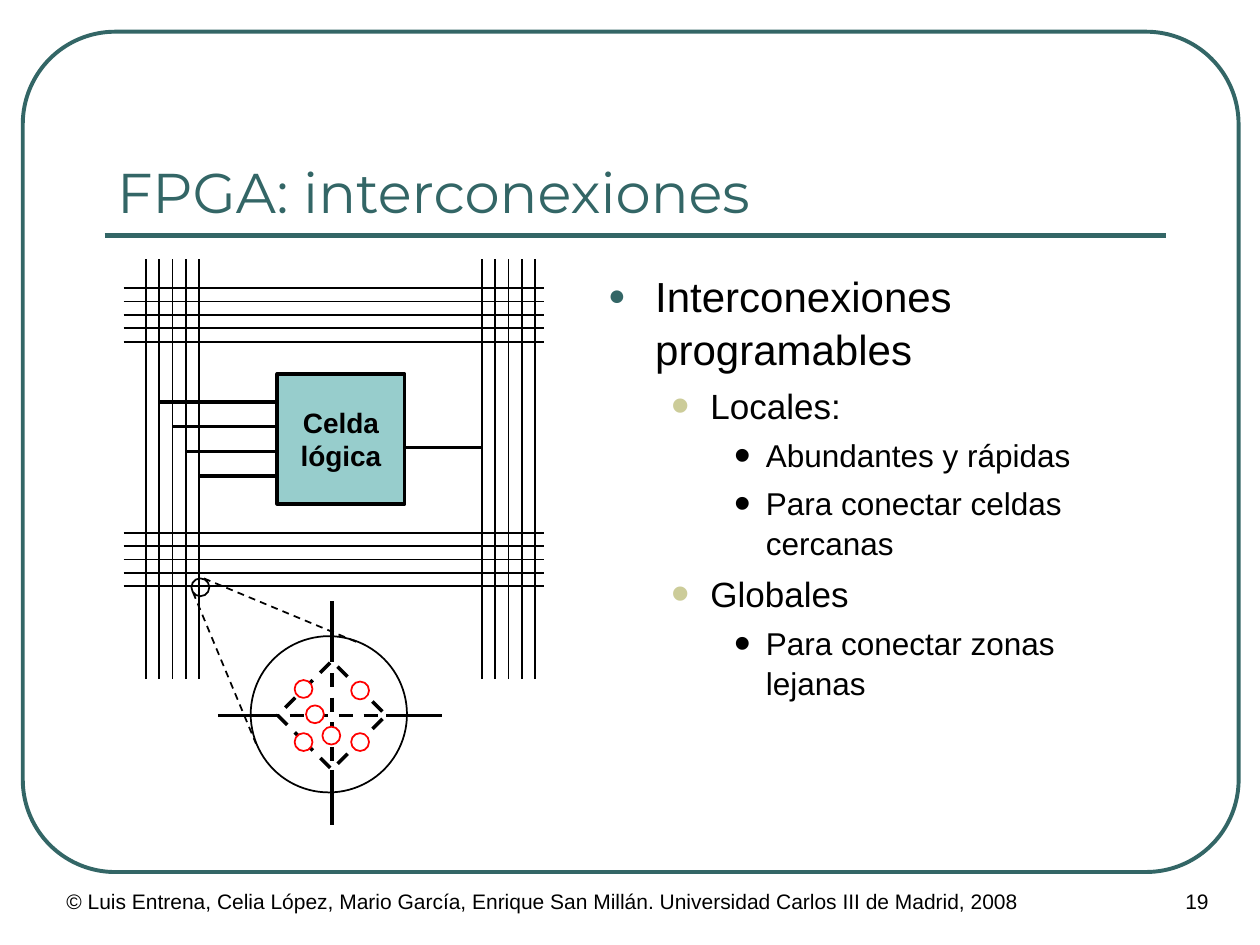
from dataclasses import dataclass
from typing import Optional

from lxml import etree
from pptx import Presentation
from pptx.dml.color import RGBColor
from pptx.enum import dml, shapes, text
from pptx.oxml import ns
from pptx.util import Cm, Pt

TEAL = RGBColor(0x33, 0x66, 0x66)
AQUA = RGBColor(0x97, 0xCD, 0xCC)
OLIVE = RGBColor(0xCC, 0xCC, 0x99)
BLACK = RGBColor(0, 0, 0)
WHITE = RGBColor(0xFF, 0xFF, 0xFF)
RED = RGBColor(0xFF, 0, 0)

WIRES_PER_BUS = 5
WIRE_GAP = 0.27
BUS_LEFT, BUS_RIGHT = 2.94, 9.71
BUS_TOP, BUS_BOTTOM = 5.81, 10.74
CELL_LEFT, CELL_TOP, CELL_WIDTH, CELL_HEIGHT = 5.59, 7.54, 2.57, 2.62
SWITCH_X, SWITCH_Y = 6.69, 14.42
DOT = 0.36


@dataclass(frozen=True)
class Stroke:
    color: RGBColor = BLACK
    width: float = 1
    dashed: bool = False


@dataclass(frozen=True)
class Level:
    size: float
    margin: float
    hanging: float
    before: float
    bullet: str
    bullet_color: RGBColor
    bullet_percent: int


THIN = Stroke()
THICK = Stroke(width=2)
THIN_DASH = Stroke(dashed=True)
THICK_DASH = Stroke(width=2, dashed=True)

TOPIC = Level(24, 0.95, 0.95, 12, "●", TEAL, 70)
KIND = Level(20, 2.06, 0.79, 5, "•", OLIVE, 150)
DETAIL = Level(18, 3.18, 0.64, 4.5, "•", BLACK, 150)

OUTLINE = [
    (TOPIC, "Interconexiones programables"),
    (KIND, "Locales:"),
    (DETAIL, "Abundantes y rápidas"),
    (DETAIL, "Para conectar celdas cercanas"),
    (KIND, "Globales"),
    (DETAIL, "Para conectar zonas lejanas"),
]

# Centres of the programmable points in the switch
SWITCH_POINTS = [(7.26, 13.92), (7.26, 14.96), (6.12, 14.96),
                 (6.12, 13.89), (6.35, 14.4), (6.68, 14.83)]


def apply_stroke(line, stroke: Stroke) -> None:
    line.color.rgb = stroke.color
    line.width = Pt(stroke.width)
    if stroke.dashed:
        line.dash_style = dml.MSO_LINE.DASH


def add_line(slide, x1: float, y1: float, x2: float, y2: float, stroke: Stroke) -> None:
    wire = slide.shapes.add_connector(
        shapes.MSO_CONNECTOR.STRAIGHT, Cm(x1), Cm(y1), Cm(x2), Cm(y2))
    apply_stroke(wire.line, stroke)
    etree.SubElement(wire._element.spPr, ns.qn("a:effectLst"))


def add_outline(slide, preset, left: float, top: float, width: float, height: float,
                stroke: Stroke, fill: Optional[RGBColor] = None):
    shape = slide.shapes.add_shape(preset, Cm(left), Cm(top), Cm(width), Cm(height))
    shape.shadow.inherit = False
    apply_stroke(shape.line, stroke)
    if fill is None:
        shape.fill.background()
    else:
        shape.fill.solid()
        shape.fill.fore_color.rgb = fill
    return shape


def add_circle(slide, x: float, y: float, diameter: float, stroke: Stroke,
               fill: Optional[RGBColor] = None) -> None:
    """Draw a circle around the centre (x, y)."""
    add_outline(slide, shapes.MSO_SHAPE.OVAL, x - diameter / 2, y - diameter / 2,
                diameter, diameter, stroke, fill)


def set_font(paragraph, size: float, color: RGBColor = BLACK, name: str = "Arial",
             bold: bool = False) -> None:
    font = paragraph.font
    font.size, font.name, font.bold = Pt(size), name, bold
    font.color.rgb = color


def add_text_frame(slide, left: float, top: float, width: float, height: float):
    frame = slide.shapes.add_textbox(Cm(left), Cm(top), Cm(width), Cm(height)).text_frame
    frame.word_wrap = True
    return frame


def add_label(slide, left: float, top: float, width: float, height: float, words: str,
              align=text.PP_ALIGN.LEFT) -> None:
    paragraph = add_text_frame(slide, left, top, width, height).paragraphs[0]
    paragraph.text = words
    paragraph.alignment = align
    set_font(paragraph, 12)


def set_bullet(paragraph, level: Level) -> None:
    props = paragraph._p.get_or_add_pPr()
    props.set("marL", str(Cm(level.margin)))
    props.set("indent", str(-Cm(level.hanging)))
    parts = [
        etree.Element(ns.qn("a:buClr")),
        etree.Element(ns.qn("a:buSzPct"), val=str(level.bullet_percent * 1000)),
        etree.Element(ns.qn("a:buFont"), typeface="Arial"),
        etree.Element(ns.qn("a:buChar"), char=level.bullet),
    ]
    etree.SubElement(parts[0], ns.qn("a:srgbClr"), val=str(level.bullet_color))
    position = props.index(props.find(ns.qn("a:defRPr")))
    props[position:position] = parts


def draw_frame_and_title(slide) -> None:
    frame = add_outline(slide, shapes.MSO_SHAPE.ROUNDED_RECTANGLE,
                        0.46, 0.64, 24.51, 16.94, Stroke(TEAL, 2.25))
    frame.adjustments[0] = 0.11
    add_line(slide, 2.11, 4.75, 23.5, 4.75, Stroke(TEAL, 3))
    title = add_text_frame(slide, 2.11, 1.47, 21.39, 3.18)
    title.vertical_anchor = text.MSO_ANCHOR.BOTTOM
    title.text = "FPGA: interconexiones"
    set_font(title.paragraphs[0], 32, TEAL, "Montserrat")


def draw_outline_text(slide) -> None:
    frame = add_text_frame(slide, 12.01, 5.28, 11.48, 10.82)
    for i, (level, words) in enumerate(OUTLINE):
        paragraph = frame.add_paragraph() if i else frame.paragraphs[0]
        paragraph.text = words
        paragraph.line_spacing = 1.05
        paragraph.space_before = Pt(level.before)
        set_font(paragraph, level.size)
        set_bullet(paragraph, level)


def draw_cell(slide) -> None:
    cell = add_outline(slide, shapes.MSO_SHAPE.RECTANGLE, CELL_LEFT, CELL_TOP,
                       CELL_WIDTH, CELL_HEIGHT, THICK, AQUA).text_frame
    cell.word_wrap = False
    cell.vertical_anchor = text.MSO_ANCHOR.MIDDLE
    cell.text = "Celda\nlógica"
    for paragraph in cell.paragraphs:
        paragraph.alignment = text.PP_ALIGN.CENTER
        set_font(paragraph, 16, bold=True)
    for i in range(4):
        y = 8.1 + 0.5 * i
        add_line(slide, BUS_LEFT + (i + 1) * WIRE_GAP, y, CELL_LEFT, y, THICK)
    add_line(slide, CELL_LEFT + CELL_WIDTH, 9.02, BUS_RIGHT, 9.02, THICK)


def draw_buses(slide) -> None:
    for i in range(WIRES_PER_BUS):
        offset = i * WIRE_GAP
        for start in (BUS_LEFT, BUS_RIGHT):
            add_line(slide, start + offset, 13.69, start + offset, 5.23, THIN)
        for start in (BUS_TOP, BUS_BOTTOM):
            add_line(slide, 2.49, start + offset, 10.97, start + offset, THIN)


def draw_switch(slide) -> None:
    """Draw the crossing of two wires and its enlarged view."""
    add_circle(slide, 4.04, 11.84, DOT, THIN)
    for start, end, stroke in ((-2.3, -1.3, THICK), (-1.35, 1.1, THICK_DASH),
                               (1.1, 2.22, THICK)):
        add_line(slide, SWITCH_X + start, SWITCH_Y, SWITCH_X + end, SWITCH_Y, stroke)
        add_line(slide, SWITCH_X, SWITCH_Y + start, SWITCH_X, SWITCH_Y + end, stroke)
    side = 1.55
    diamond = add_outline(slide, shapes.MSO_SHAPE.RECTANGLE, SWITCH_X - side / 2,
                          SWITCH_Y - side / 2, side, side, THICK_DASH)
    diamond.rotation = 45
    for x, y in SWITCH_POINTS:
        add_circle(slide, x, y, DOT, Stroke(RED), WHITE)
    add_circle(slide, 6.63, 14.4, 3.15, THIN)
    add_line(slide, 4.11, 11.66, 7.21, 12.95, THIN_DASH)
    add_line(slide, 3.89, 11.94, 5.16, 14.99, THIN_DASH)


def main() -> None:
    deck = Presentation()
    deck.slide_width, deck.slide_height = Cm(25.4), Cm(19.05)
    slide = deck.slides.add_slide(deck.slide_layouts[6])
    draw_frame_and_title(slide)
    draw_outline_text(slide)
    draw_cell(slide)
    draw_buses(slide)
    draw_switch(slide)
    add_label(slide, 1.09, 17.78, 21.59, 1.27,
              "© Luis Entrena, Celia López, Mario García, Enrique San Millán. "
              "Universidad Carlos III de Madrid, 2008")
    add_label(slide, 22.86, 17.78, 2.54, 1.27, "19", text.PP_ALIGN.CENTER)
    deck.save("out.pptx")


if __name__ == "__main__":
    main()
